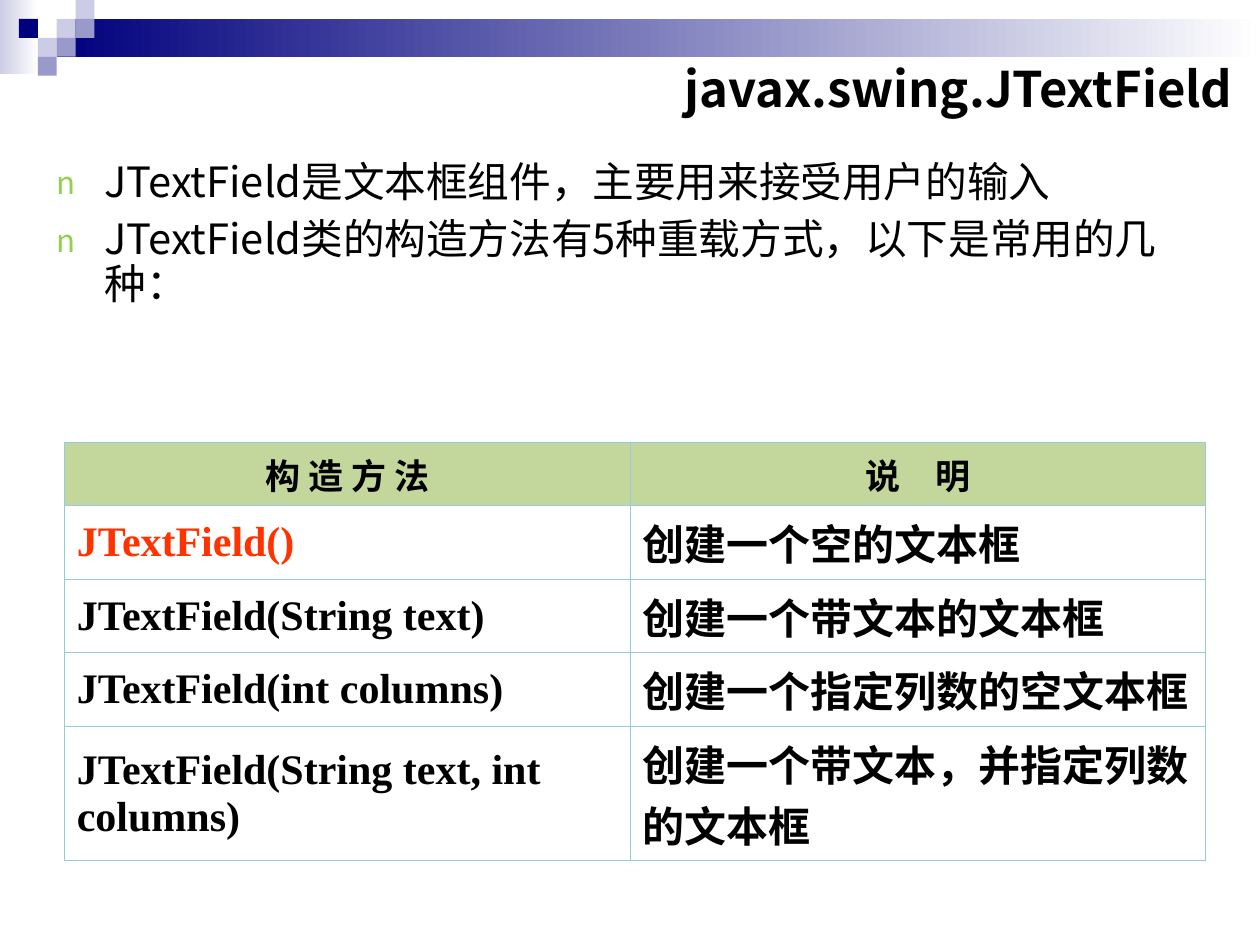
from lxml.etree import SubElement
from pptx import Presentation
from pptx.dml.color import RGBColor
from pptx.enum.shapes import MSO_SHAPE as Preset
from pptx.enum.text import MSO_ANCHOR as Anchor, MSO_AUTO_SIZE as AutoSize, PP_ALIGN as Align
from pptx.oxml.ns import qn
from pptx.util import Inches, Pt

WIDTH, HEIGHT, UNIT = 10, 7.5, 0.15
SANS, SERIF = "Noto Sans CJK SC", "Times New Roman"
NAVY, LILAC, VIOLET = "00007D", "CCCCE6", "9999CC"
BLACK, WHITE, RED = "000000", "FFFFFF", "FF3300"
BORDER, HEADER, BULLET = "93CDDD", "C3D69B", "92D050"

SQUARES = [(3, 1, LILAC), (4, 0, LILAC), (4, 1, VIOLET), (2, 2, LILAC),
           (1, 1, NAVY), (3, 2, VIOLET), (2, 3, VIOLET)]
POINTS = ["JTextField是文本框组件，主要用来接受用户的输入",
          "JTextField类的构造方法有5种重载方式，以下是常用的几种："]
ROWS = [("构 造 方 法", "说　明"),
        ("JTextField()", "创建一个空的文本框"),
        ("JTextField(String text)", "创建一个带文本的文本框"),
        ("JTextField(int columns)", "创建一个指定列数的空文本框"),
        ("JTextField(String text, int columns)", "创建一个带文本，并指定列数的文本框")]
COLUMN_WIDTHS = [4.49, 4.57]
ROW_HEIGHTS = [0.44, 0.5, 0.5, 0.5, 0.9]


def color(value):
    """Turn a hex string into a colour."""
    return RGBColor.from_string(value)


def place(shape, left, top, width, height):
    """Move and size a shape in inches."""
    shape.left, shape.top = Inches(left), Inches(top)
    shape.width, shape.height = Inches(width), Inches(height)


def style(para, size, name=SANS, ink=BLACK, bold=False):
    """Set the font of a paragraph, with the sans face for Chinese."""
    font = para.font
    font.size, font.bold = Pt(size), bold
    font.color.rgb = color(ink)
    font.name = name
    SubElement(para._p.pPr.find(qn("a:defRPr")), qn("a:ea"), typeface=SANS)


def add_bullet(para):
    """Give a paragraph a hanging green bullet."""
    props = para._p.pPr
    props.set("marL", str(Inches(0.38)))
    props.set("indent", str(-Inches(0.38)))
    tint = SubElement(props, qn("a:buClr"))
    SubElement(tint, qn("a:srgbClr"), val=BULLET)
    SubElement(props, qn("a:buSzPct"), val="75000")
    SubElement(props, qn("a:buFont"), typeface=SANS)
    SubElement(props, qn("a:buChar"), char="n")
    props.append(props.find(qn("a:defRPr")))


def add_block(page, columns, rows, width, height, start, end=None):
    """Draw a header block on the unit grid, plain or fading to a second colour."""
    box = page.shapes.add_shape(
        Preset.RECTANGLE, *(Inches(UNIT * n) for n in (columns, rows, width, height)))
    box.shadow.inherit = False
    box.line.fill.background()
    if end is None:
        box.fill.solid()
        box.fill.fore_color.rgb = color(start)
        return
    box.fill.gradient()
    box.fill.gradient_angle = 0
    for stop, value in zip(box.fill.gradient_stops, (start, end)):
        stop.color.rgb = color(value)


def add_header(page):
    """Draw the fading bars and the mosaic of squares."""
    add_block(page, 0, 0, 2, 3.9, LILAC, WHITE)
    add_block(page, 3, 1, WIDTH / UNIT - 3, 2, NAVY, WHITE)
    for column, row, value in SQUARES:
        add_block(page, column, row, 1, 1, value)


def fill_title(box, text):
    """Write the right-aligned title."""
    place(box, 4.76, 0.36, 5.12, 0.67)
    frame = box.text_frame
    frame.text = text
    frame.auto_size, frame.vertical_anchor = AutoSize.NONE, Anchor.MIDDLE
    para = frame.paragraphs[0]
    para.alignment = Align.RIGHT
    style(para, 28, bold=True)


def fill_list(box, points):
    """Write the bulleted list."""
    place(box, 0.35, 1.23, 9, 1.81)
    frame = box.text_frame
    frame.text = "\n".join(points)
    frame.auto_size = AutoSize.NONE
    for para in frame.paragraphs:
        para.line_spacing, para.space_before = 0.9, Pt(7)
        style(para, 23.8)
        add_bullet(para)


def add_border(cell, side, width):
    """Draw one edge of a cell."""
    line = SubElement(cell._tc.get_or_add_tcPr(), qn(f"a:ln{side}"), w=str(Pt(width)))
    paint = SubElement(line, qn("a:solidFill"))
    SubElement(paint, qn("a:srgbClr"), val=BORDER)


def fill_cell(cell, text, row, column):
    """Write and format one table cell."""
    outer = {"L": column == 0, "R": column == len(COLUMN_WIDTHS) - 1,
             "T": row == 0, "B": row == len(ROWS) - 1}
    for side, is_outer in outer.items():
        add_border(cell, side, 0.75 if is_outer else 0.45)
    cell.fill.solid()
    cell.fill.fore_color.rgb = color(WHITE if row else HEADER)
    cell.vertical_anchor = Anchor.MIDDLE
    cell.text = text
    para = cell.text_frame.paragraphs[0]
    para.alignment = Align.LEFT if row else Align.CENTER
    para.space_before = Pt(6 if row else 5)
    if row:
        style(para, 24, SERIF, RED if (row, column) == (1, 0) else BLACK, True)
    else:
        style(para, 20, bold=True)


def add_constructor_table(page):
    """Add the table of constructors and their meaning."""
    table = page.shapes.add_table(
        len(ROWS), len(COLUMN_WIDTHS), Inches(0.51), Inches(3.51),
        Inches(sum(COLUMN_WIDTHS)), Inches(sum(ROW_HEIGHTS))).table
    table.first_row = table.horz_banding = False
    for column, width in zip(table.columns, COLUMN_WIDTHS):
        column.width = Inches(width)
    for row, height in zip(table.rows, ROW_HEIGHTS):
        row.height = Inches(height)
    for row, texts in enumerate(ROWS):
        for column, text in enumerate(texts):
            fill_cell(table.cell(row, column), text, row, column)


def main():
    """Build and save the deck."""
    deck = Presentation()
    deck.slide_width, deck.slide_height = Inches(WIDTH), Inches(HEIGHT)
    page = deck.slides.add_slide(deck.slide_layouts[1])
    add_header(page)
    fill_title(page.shapes.title, "javax.swing.JTextField")
    fill_list(page.placeholders[1], POINTS)
    add_constructor_table(page)
    deck.save("out.pptx")


if __name__ == "__main__":
    main()
